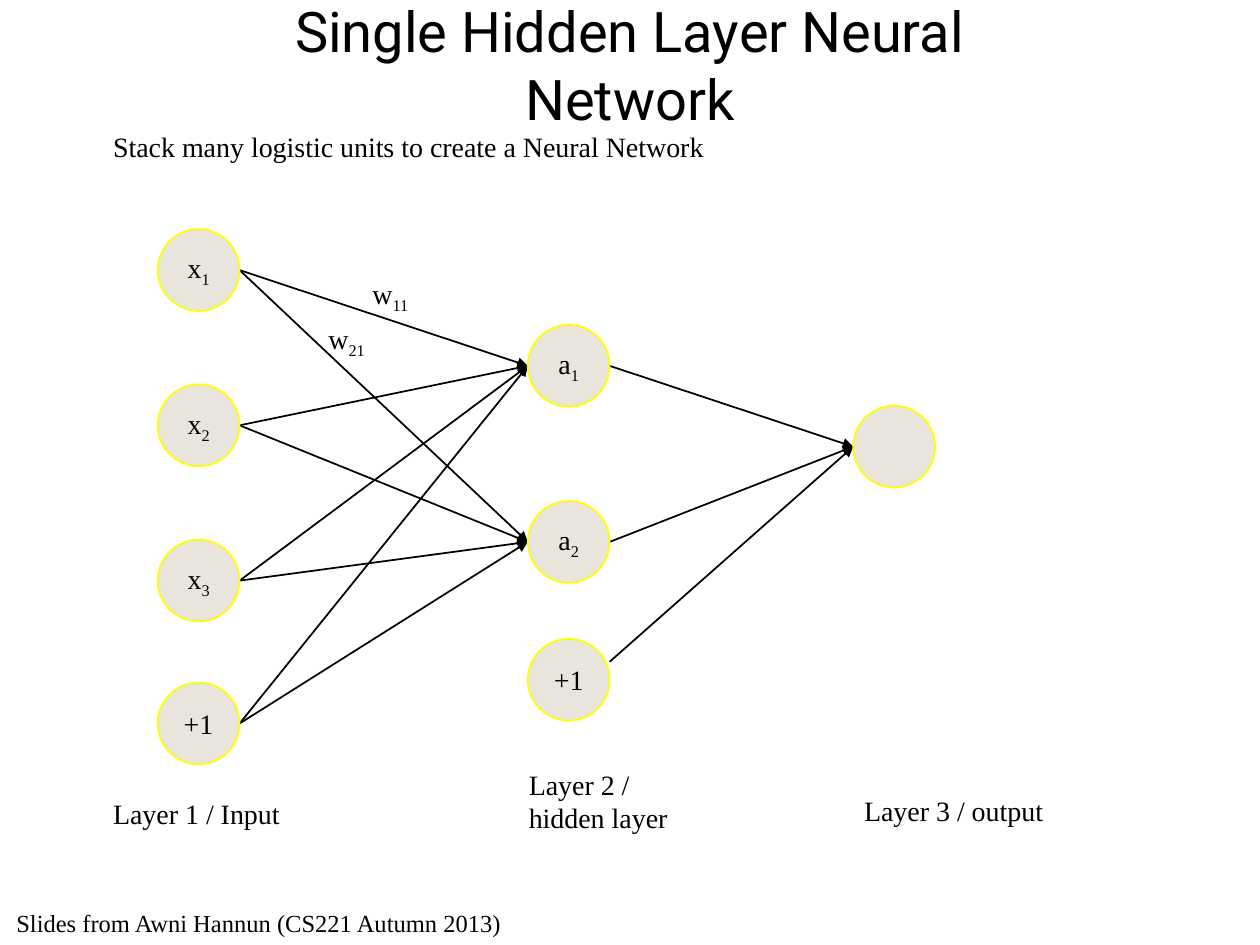
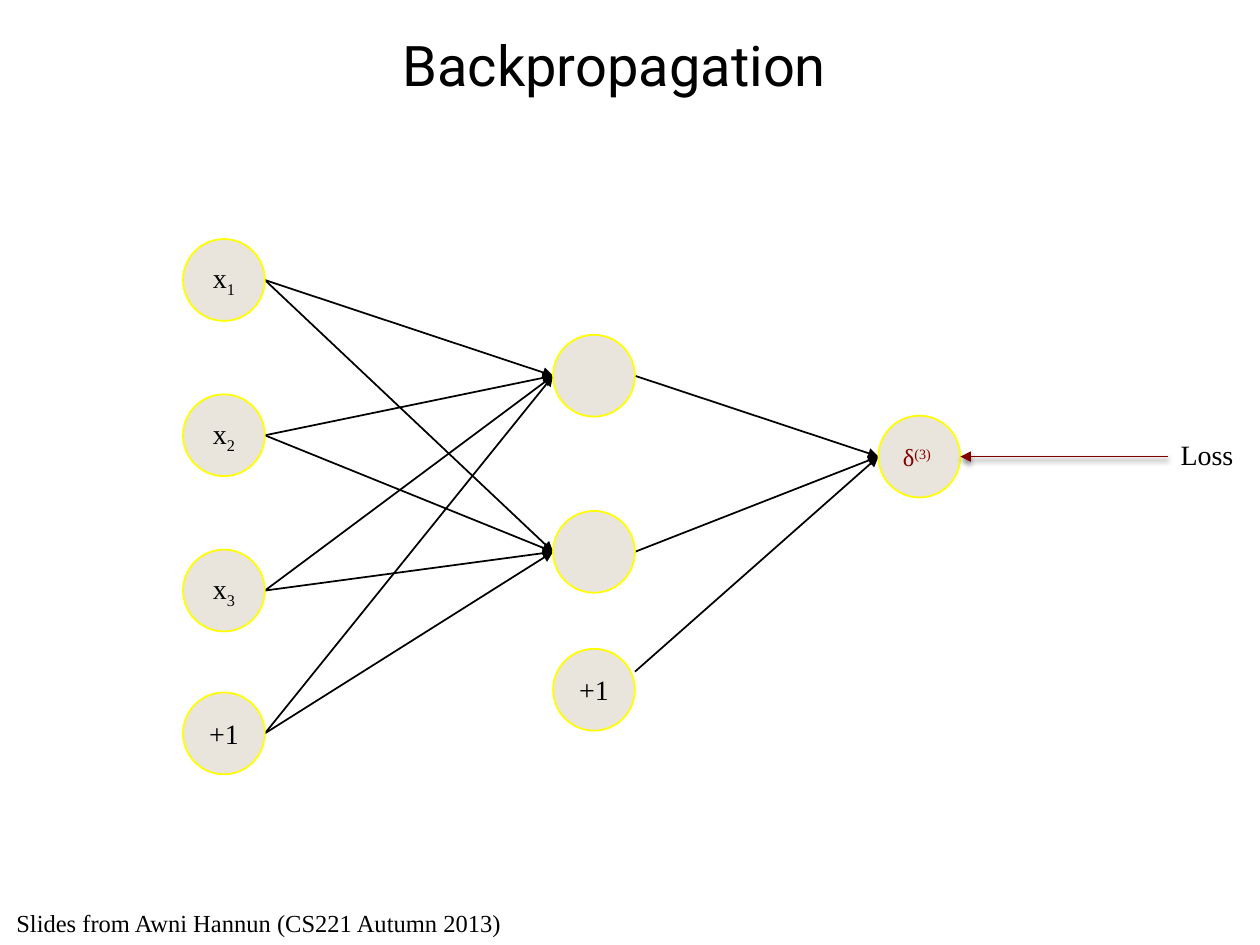
import pptx
import pptx.dml.color
import pptx.enum.shapes
import pptx.enum.text
import pptx.oxml
import pptx.oxml.ns
import pptx.util
from pptx.dml.color import RGBColor
from pptx.util import Cm

BLACK = RGBColor(0x00, 0x00, 0x00)
BEIGE = RGBColor(0xE9, 0xE5, 0xDC)
YELLOW = RGBColor(0xFF, 0xFF, 0x00)
MAROON = RGBColor(0x80, 0x00, 0x00)
BODY_FONT = "Times New Roman"
TITLE_FONT = "Roboto"

ALIGN = pptx.enum.text.PP_ALIGN
ANCHOR = pptx.enum.text.MSO_ANCHOR

# Network layout in cm: left edge of each layer and top of each unit
DIAMETER = 1.65
INPUT_X, HIDDEN_X, OUTPUT_X = 3.18, 10.64, 17.2
INPUT_TOPS = (4.62, 7.75, 10.88, 13.76)
HIDDEN_TOPS = (6.55, 10.1)
BIAS_TOP = 12.88
BIAS_LINK_DROP = 0.46
OUTPUT_TOP = 8.18
INPUT_NAMES = ("x_1", "x_2", "x_3", "+1")

SHADOW = (
    '<a:effectLst %s><a:outerShdw blurRad="38100" dist="25400" dir="5400000">'
    '<a:srgbClr val="000000"><a:alpha val="50000"/></a:srgbClr>'
    "</a:outerShdw></a:effectLst>"
)
NO_SHADOW = "<a:effectLst %s/>"


def write(tf, text, size=16, color=BLACK, font=BODY_FONT, align=ALIGN.LEFT):
    """Fill a frame; in each line, _ starts a subscript and ^ a superscript."""
    for i, line in enumerate(text.split("\n")):
        p = tf.paragraphs[0] if i == 0 else tf.add_paragraph()
        p.alignment = align
        mark, baseline = ("^", 30000) if "^" in line else ("_", -25000)
        base, _, script = line.partition(mark)
        for part, offset in ((base, 0), (script, baseline)):
            if not part:
                continue
            r = p.add_run()
            r.text = part
            r.font.size = pptx.util.Pt(size)
            r.font.name = font
            r.font.color.rgb = color
            if offset:
                r.font._element.set("baseline", str(offset))


def add_label(s, text, x, y, w, h, anchor=ANCHOR.TOP, **style):
    sp = s.shapes.add_textbox(Cm(x), Cm(y), Cm(w), Cm(h))
    tf = sp.text_frame
    tf.word_wrap = True
    tf.vertical_anchor = anchor
    write(tf, text, **style)
    return sp


def add_title(s, text, x, w):
    add_label(s, text, x, 0.38, w, 1.83, anchor=ANCHOR.MIDDLE,
              size=32, font=TITLE_FONT, align=ALIGN.CENTER)


def add_footer(s):
    add_label(s, "Slides from Awni Hannun (CS221 Autumn 2013)",
              0.08, 18.19, 12.04, 0.86, size=14)


def add_unit(s, x, y, text="", **style):
    sp = s.shapes.add_shape(pptx.enum.shapes.MSO_SHAPE.OVAL,
                            Cm(x), Cm(y), Cm(DIAMETER), Cm(DIAMETER))
    sp.shadow.inherit = False
    sp.fill.solid()
    sp.fill.fore_color.rgb = BEIGE
    sp.line.color.rgb = YELLOW
    sp.line.width = pptx.util.Pt(1)
    sp.text_frame.vertical_anchor = ANCHOR.MIDDLE
    if text:
        write(sp.text_frame, text, **{"align": ALIGN.CENTER, **style})


def add_arrow(s, x1, y1, x2, y2, color=BLACK, effect=NO_SHADOW):
    cxn = s.shapes.add_connector(pptx.enum.shapes.MSO_CONNECTOR.STRAIGHT,
                                 Cm(x1), Cm(y1), Cm(x2), Cm(y2))
    cxn.line.color.rgb = color
    cxn.line.width = pptx.util.Pt(1)
    ns = pptx.oxml.ns.nsdecls("a")
    cxn.line._get_or_add_ln().append(
        pptx.oxml.parse_xml('<a:tailEnd %s type="triangle"/>' % ns))
    cxn._element.spPr.append(pptx.oxml.parse_xml(effect % ns))
    return cxn


def add_network(s, dx=0, dy=0, hidden=("", ""), output="", **output_style):
    """Draw the 3-layer network, moved by (dx, dy)."""
    input_x, hidden_x, output_x = INPUT_X + dx, HIDDEN_X + dx, OUTPUT_X + dx
    radius = DIAMETER / 2
    output_mid = OUTPUT_TOP + dy + radius

    # Links between the layers
    for hidden_top in HIDDEN_TOPS:
        hidden_mid = hidden_top + dy + radius
        for input_top in INPUT_TOPS:
            add_arrow(s, input_x + DIAMETER, input_top + dy + radius,
                      hidden_x, hidden_mid)
        add_arrow(s, hidden_x + DIAMETER, hidden_mid, output_x, output_mid)
    add_arrow(s, hidden_x + DIAMETER, BIAS_TOP + dy + BIAS_LINK_DROP,
              output_x, output_mid)

    # Units
    for top, name in zip(INPUT_TOPS, INPUT_NAMES):
        add_unit(s, input_x, top + dy, name)
    for top, name in zip(HIDDEN_TOPS, hidden):
        add_unit(s, hidden_x, top + dy, name)
    add_unit(s, hidden_x, BIAS_TOP + dy, "+1")
    add_unit(s, output_x, OUTPUT_TOP + dy, output, **output_style)


def build_hidden_layer(s):
    add_network(s, hidden=("a_1", "a_2"))
    add_label(s, "w_11", 7.26, 5.46, 1.78, 1.02)
    add_label(s, "w_21", 6.37, 6.35, 1.78, 1.02)
    add_label(s, "Layer 1 / Input", 2.03, 15.93, 4.78, 0.94)
    add_label(s, "Layer 2 /\nhidden layer", 10.41, 15.34, 5.31, 1.63)
    add_label(s, "Layer 3 / output", 17.17, 15.88, 5.54, 0.94)
    add_label(s, "Stack many logistic units to create a Neural Network",
              2.03, 2.49, 15.7, 1.02)
    add_title(s, "Single Hidden Layer Neural Network", 3.52, 18.36)
    add_footer(s)


def build_backpropagation(s):
    dx, dy = 0.51, 0.2
    add_network(s, dx, dy, output="δ^(3)", size=14, color=MAROON,
                align=ALIGN.LEFT)
    add_title(s, "Backpropagation", 5.11, 14.55)

    # Loss flows back into the output unit
    loss_x, loss_h = 23.55, 1.02
    mid = OUTPUT_TOP + dy + DIAMETER / 2
    loss = add_label(s, "Loss", loss_x, mid - loss_h / 2, 1.85, loss_h)
    cxn = add_arrow(s, loss_x, mid, OUTPUT_X + dx + DIAMETER, mid,
                    color=MAROON, effect=SHADOW)
    cxn.begin_connect(loss, 1)
    add_footer(s)


def main():
    prs = pptx.Presentation()
    prs.slide_width, prs.slide_height = Cm(25.4), Cm(19.05)
    for build in (build_hidden_layer, build_backpropagation):
        build(prs.slides.add_slide(prs.slide_layouts[6]))
    prs.save("out.pptx")


if __name__ == "__main__":
    main()
